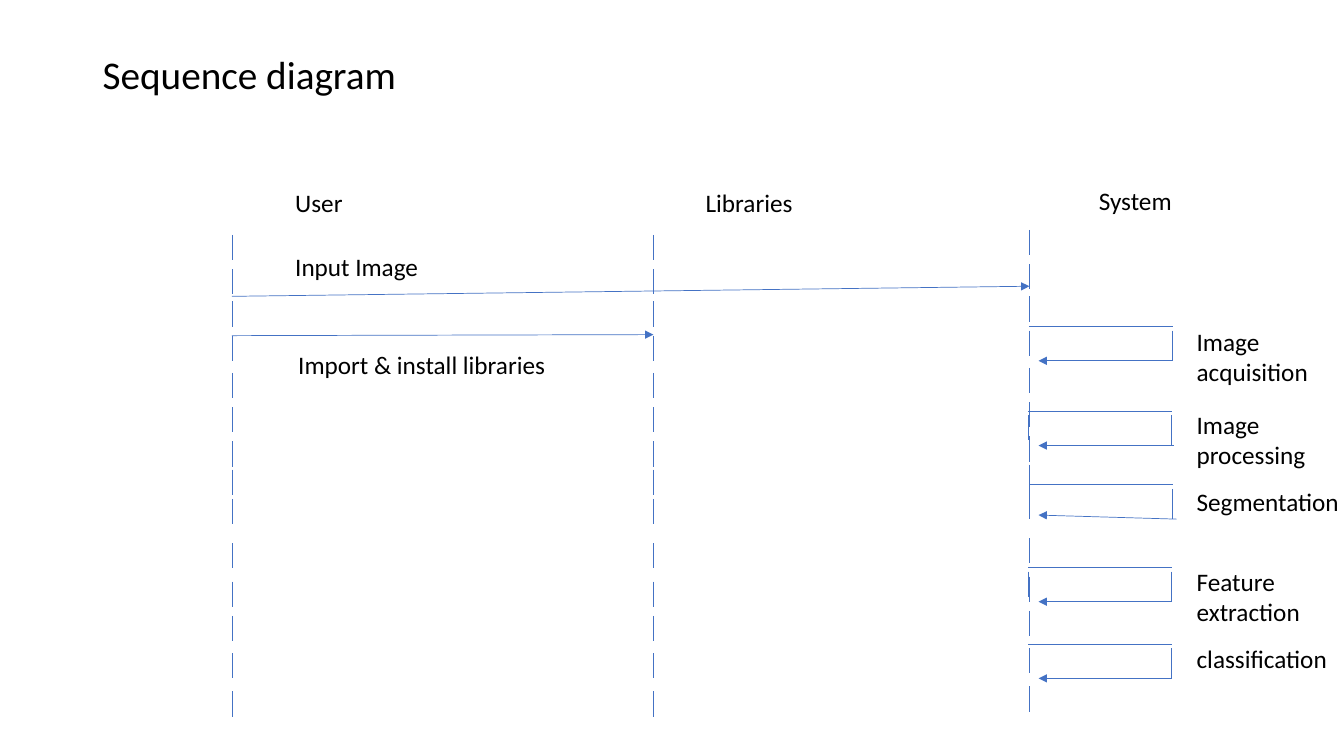
from lxml import etree
from pptx import Presentation
from pptx.dml.color import RGBColor
from pptx.enum.shapes import MSO_CONNECTOR as Link
from pptx.enum.text import MSO_ANCHOR as Anchor
from pptx.oxml.ns import qn
from pptx.util import Pt

PX = 9144
BLUE, BLACK = "4472C4", "000000"
DASH_LENGTH = 25
DASH_STARTS = (0, 34, 66, 100, 137, 171, 205, 233, 262, 306, 344, 378, 415, 453)
LOOP_WIDTH, LOOP_HEIGHT, LOOP_GAP = 142, 34, 4
ARROW_END, LABEL_LEFT = 1030, 1177


def px(*lengths):
    """Turn pixel lengths into EMU."""
    return [length * PX for length in lengths]


def color(value):
    """Turn a hex string into a colour."""
    return RGBColor.from_string(value)


def add_text(page, text, box, size=18, anchor=Anchor.TOP, spacing=None):
    """Write one paragraph of text in a box of left, top, width, height."""
    frame = page.shapes.add_textbox(*px(*box)).text_frame
    frame.word_wrap = True
    frame.vertical_anchor = anchor
    para = frame.paragraphs[0]
    para.line_spacing = spacing
    span = para.add_run()
    span.text = text
    span.font.name = "Calibri"
    span.font.size = Pt(size)
    span.font.color.rgb = color(BLACK)


def add_line(page, start, end, arrow=False):
    """Draw a thin line, with an arrowhead at its end if asked."""
    link = page.shapes.add_connector(Link.STRAIGHT, *px(*start, *end))
    link.line.color.rgb = color(BLUE)
    link.line.width = Pt(0.5)
    props = link._element.spPr
    if arrow:
        etree.SubElement(props.find(qn("a:ln")), qn("a:tailEnd"), type="triangle")
    etree.SubElement(props, qn("a:effectLst"))


def add_lifeline(page, left, top, name, name_box):
    """Draw a dashed lifeline with its name placed from its top."""
    for start in DASH_STARTS:
        add_line(page, (left, top + start), (left, top + start + DASH_LENGTH))
    name_left, name_top, width = name_box
    add_text(page, name, (left + name_left, top + name_top, width, 40))


def add_loop(page, left, top, label, label_box, stub=False, overshoot=0, lift=0):
    """Draw a self-message loop with its label at the right."""
    right, bottom = left + LOOP_WIDTH, top + LOOP_HEIGHT
    add_line(page, (left, top), (right, top))
    add_line(page, (right, top + LOOP_GAP), (right, bottom))
    add_line(page, (right + overshoot, bottom), (ARROW_END, bottom - lift), arrow=True)
    if stub:
        start = top + LOOP_GAP
        add_line(page, (left, start), (left, start + DASH_LENGTH))
    rise, width, height = label_box
    add_text(page, label, (LABEL_LEFT, top - rise, width, height))


def add_message(page, start, end, label, label_box):
    """Draw a message arrow with its label placed from its start."""
    add_line(page, start, end, arrow=True)
    label_left, label_top, width = label_box
    add_text(page, label, (start[0] + label_left, start[1] + label_top, width, 40))


def add_diagram(page, left, top):
    """Place lifelines, messages and loops from the top left corner."""
    libraries, system = left + 418, left + 791
    add_lifeline(page, left, top, "User", (53, -52, 97))
    add_lifeline(page, libraries, top, "Libraries", (42, -52, 132))
    add_lifeline(page, system, top - 5, "System", (59, -49, 97))
    add_message(page, (left, top + 61), (system, top + 51),
                "Input Image", (53, -50, 197))
    add_message(page, (left, top + 100), (libraries, top + 99),
                "Import & install libraries", (56, 9, 287))
    add_loop(page, system, top + 91, "Image acquisition", (5, 142, 71))
    add_loop(page, system - 1, top + 175, "Image processing", (7, 142, 71),
             stub=True, overshoot=2)
    add_loop(page, system, top + 248, "Segmentation", (3, 164, 40),
             stub=True, overshoot=4, lift=4)
    add_loop(page, system - 1, top + 330, "Feature extraction", (6, 141, 71), stub=True)
    add_loop(page, system - 1, top + 406, "classification", (6, 156, 40))


def main():
    """Build the slide and save it."""
    deck = Presentation()
    deck.slide_width, deck.slide_height = px(1333, 750)
    page = deck.slides.add_slide(deck.slide_layouts[6])
    add_text(page, "Sequence diagram", (92, 40, 325, 72),
             size=28, anchor=Anchor.MIDDLE, spacing=0.9)
    add_diagram(page, 230, 233)
    deck.save("out.pptx")


if __name__ == "__main__":
    main()
